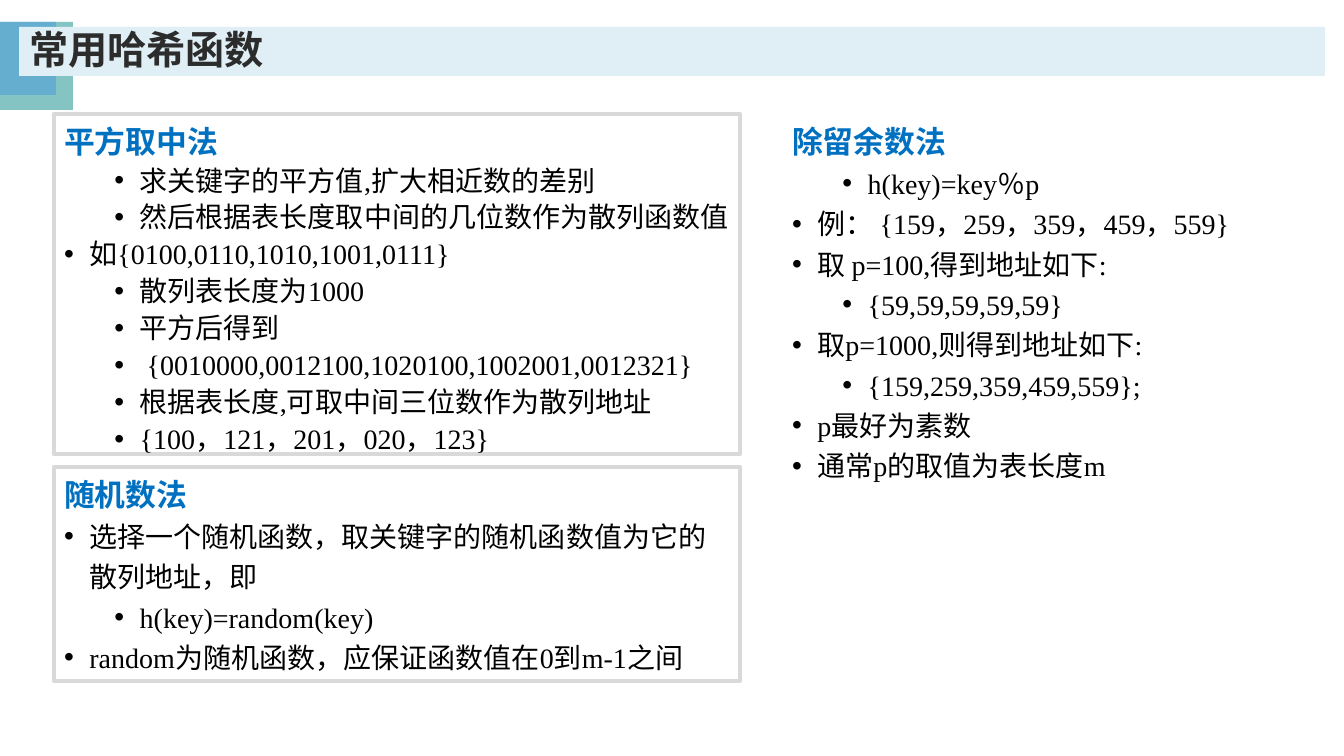
"""Build a slide on common hash functions."""
from lxml import etree
from pptx import Presentation
from pptx import util as u
from pptx.dml.color import RGBColor
from pptx.enum import shapes, text
from pptx.oxml import ns

THEME = {
    "teal": "84C4C3", "blue": "65AECF", "band": "E0EFF5", "edge": "D9D9D9",
    "ink": "2C2C2C", "head": "0070C0", "body": "000000",
    "sans": "Arial", "cjk": "Noto Sans CJK SC", "serif": "Times New Roman",
    "title": 28, "top": 22, "item": 20,
}
SCALE = 914400 / 100.8


def place(shape, *box):
    """Move a shape to a box in px."""
    shape.left, shape.top, shape.width, shape.height = [round(n * SCALE) for n in box]


def style(para, face, size, color, bold):
    """Format the runs of a paragraph."""
    for run in para.runs:
        font = run.font
        font.name, font.size, font.bold = face, u.Pt(size), bold
        font.color.rgb = RGBColor.from_string(THEME[color])
        etree.SubElement(font._element, ns.qn("a:ea"), typeface=THEME["cjk"])


deck = Presentation()
deck.slide_width, deck.slide_height = round(1344 * SCALE), round(756 * SCALE)
slide = deck.slides.add_slide(deck.slide_layouts[4])
tree = slide.shapes._spTree

for spot, (color, wide, high) in enumerate([("teal", 73, 88), ("blue", 56, 73)]):
    block = slide.shapes.add_shape(shapes.MSO_SHAPE.RECTANGLE, 0, 0, 0, 0)
    place(block, 0, 22, wide, high)
    block.shadow.inherit = False
    block.fill.solid()
    block.fill.fore_color.rgb = RGBColor.from_string(THEME[color])
    block.line.fill.background()
    tree.insert(2 + spot, block._element)

title = slide.shapes.title
place(title, 19, 27, 1306, 49)
title.fill.solid()
title.fill.fore_color.rgb = RGBColor.from_string(THEME["band"])
frame = title.text_frame
frame.text = "常用哈希函数"
frame.auto_size = text.MSO_AUTO_SIZE.NONE
frame.vertical_anchor = text.MSO_ANCHOR.MIDDLE
para = frame.paragraphs[0]
para.alignment = text.PP_ALIGN.LEFT
para.line_spacing = 0.9
style(para, THEME["sans"], THEME["title"], "ink", True)

LISTS = [
    ((782, 114, 512, 377), False, 1.2, "除留余数法", [
        (1, "h(key)=key％p"),
        (0, "例： {159，259，359，459，559}"),
        (0, "取 p=100,得到地址如下:"),
        (1, "{59,59,59,59,59}"),
        (0, "取p=1000,则得到地址如下:"),
        (1, "{159,259,359,459,559};"),
        (0, "p最好为素数"),
        (0, "通常p的取值为表长度m"),
    ]),
    ((54, 467, 686, 214), True, 1.2, "随机数法", [
        (0, "选择一个随机函数，取关键字的随机函数值为它的散列地址，即"),
        (1, "h(key)=random(key)"),
        (0, "random为随机函数，应保证函数值在0到m-1之间"),
    ]),
    ((54, 114, 686, 340), True, 1.1, "平方取中法", [
        (1, "求关键字的平方值,扩大相近数的差别"),
        (1, "然后根据表长度取中间的几位数作为散列函数值"),
        (0, "如{0100,0110,1010,1001,0111}"),
        (1, "散列表长度为1000"),
        (1, "平方后得到"),
        (1, " {0010000,0012100,1020100,1002001,0012321}"),
        (1, "根据表长度,可取中间三位数作为散列地址"),
        (1, "{100，121，201，020，123}"),
    ]),
]

for key, (box, framed, gap, head, items) in enumerate(LISTS, 1):
    panel = slide.placeholders[key]
    place(panel, *box)
    if framed:
        panel.line.color.rgb = RGBColor.from_string(THEME["edge"])
        panel.line.width = u.Pt(3)
    frame = panel.text_frame
    frame.auto_size = text.MSO_AUTO_SIZE.NONE
    frame.vertical_anchor = text.MSO_ANCHOR.TOP
    frame.word_wrap = True

    para = frame.paragraphs[0]
    para.text = head
    para.line_spacing, para.space_before = 1.1, u.Pt(0)
    props = para._p.get_or_add_pPr()
    props.set("marL", "0")
    props.set("indent", "0")
    etree.SubElement(props, ns.qn("a:buNone"))
    style(para, THEME["cjk"], THEME["top"], "head", True)

    for level, line in items:
        para = frame.add_paragraph()
        para.text, para.level = line, level
        para.line_spacing, para.space_before = gap, u.Pt(0)
        props = para._p.get_or_add_pPr()
        props.set("marL", str(u.Inches(0.25 + 0.5 * level)))
        props.set("indent", str(u.Inches(-0.25)))
        etree.SubElement(props, ns.qn("a:buFont"), typeface=THEME["sans"])
        etree.SubElement(props, ns.qn("a:buChar"), char="•")
        style(para, THEME["serif"], THEME["item"], "body", False)

tree.remove(slide.placeholders[4]._element)
deck.save("out.pptx")
